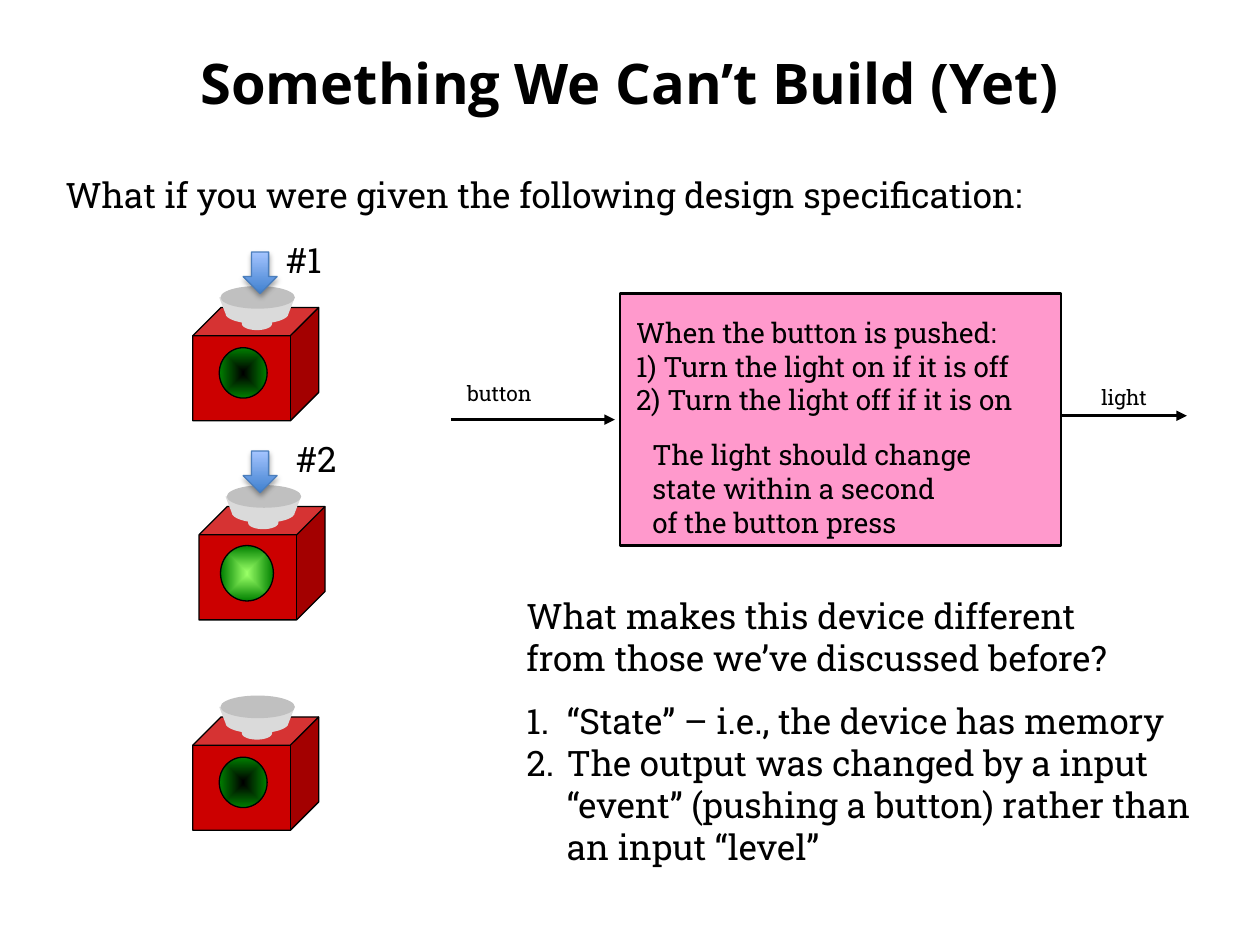
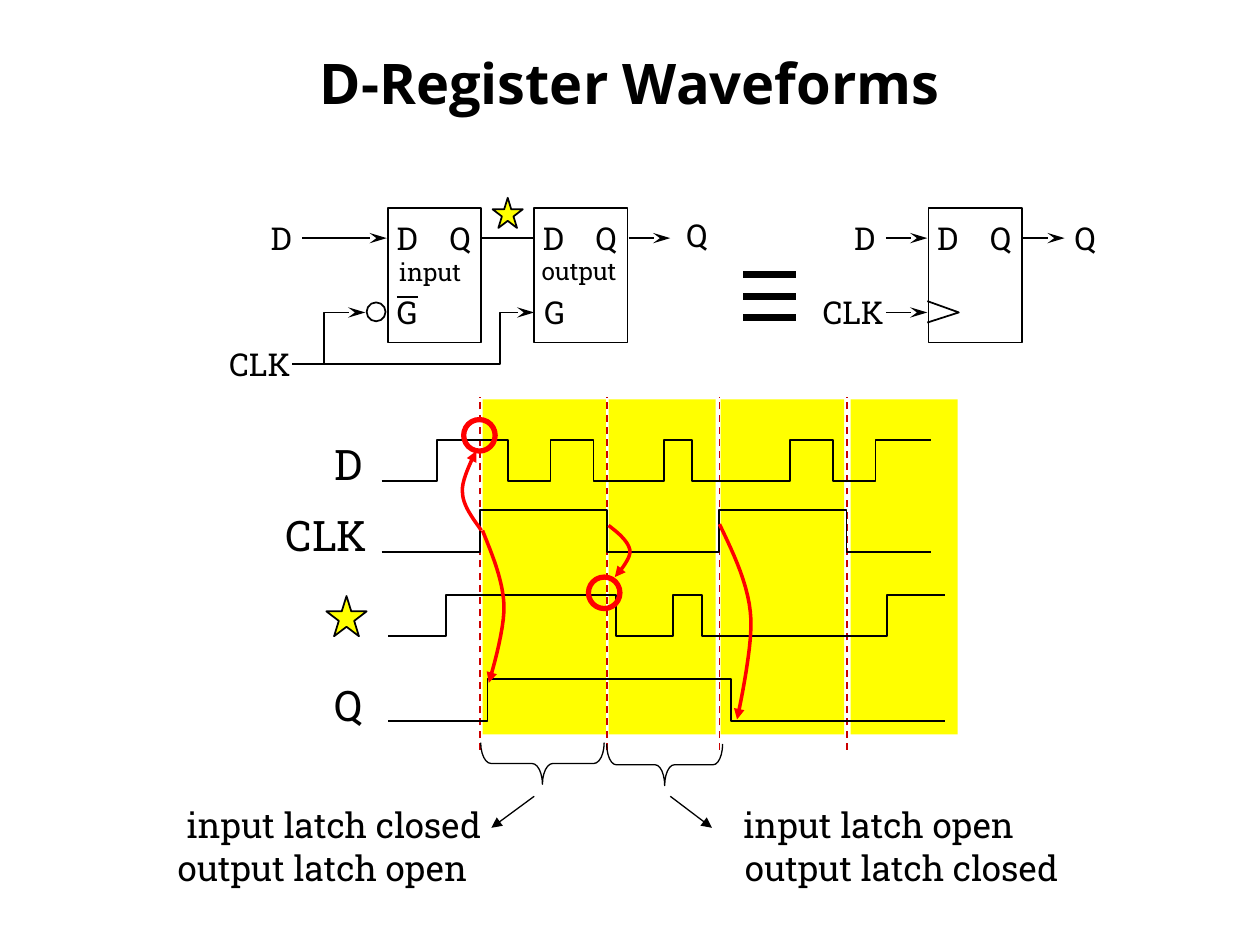
from dataclasses import dataclass
from math import cos, pi, sin
from typing import Optional, Sequence

from lxml.etree import SubElement
from pptx import Presentation
from pptx.dml.color import RGBColor
from pptx.enum.dml import MSO_LINE_DASH_STYLE as Dash
from pptx.enum.shapes import MSO_CONNECTOR as Connector, MSO_SHAPE as Shape
from pptx.enum.text import MSO_ANCHOR as Anchor, PP_ALIGN as Align
from pptx.oxml.ns import qn
from pptx.util import Cm, Pt

Point = tuple[float, float]


@dataclass(frozen=True)
class Theme:
    title_font: str = "Open Sans"
    body_font: str = "Roboto Slab"
    black: str = "000000"
    white: str = "FFFFFF"
    pink: str = "FF99CC"
    yellow: str = "FFFF00"
    red: str = "FF0000"
    dark_red: str = "CC0000"
    cap: str = "C0C0C0"
    cap_side: str = "DADADA"
    lamp_edge: str = "008000"
    lamp_lit: str = "99FF66"
    arrow_line: str = "4B7EBC"
    arrow_fill: tuple[str, str] = ("3F80CE", "A4C4FF")
    title_size: float = 32
    signal_size: float = 24
    body_size: float = 20
    pin_size: float = 18
    box_size: float = 16
    name_size: float = 14
    wire_size: float = 12


THEME = Theme()


@dataclass(frozen=True)
class Stroke:
    color: str = THEME.black
    width: float = 1
    head: Optional[str] = None
    dash: Optional[Dash] = None


@dataclass(frozen=True)
class Device:
    x: float
    y: float
    lamp: tuple[float, float, float, float]  # offsets from the cube, then size
    center_color: str
    press: Optional[str] = None
    press_x: float = 0


@dataclass(frozen=True)
class Waveform:
    top: float
    start: float
    end: float
    toggles: tuple[float, ...]


THIN = Stroke()
HAIR = Stroke(width=0.75)
BOLD = Stroke(width=1.5)
WIRE = Stroke(head="stealth")
POINTER = Stroke(width=0.75, head="triangle")
SIGNAL = Stroke(width=1.5, head="triangle")
CAUSE = Stroke(THEME.red, 2, "triangle")
MARK = Stroke(THEME.red, 3)


def inch(value: float) -> Cm:
    return Cm(value * 2.54)


# Drawing helpers
def apply_stroke(shape, stroke: Optional[Stroke]) -> None:
    if stroke is None:
        shape.line.fill.background()
        return
    shape.line.color.rgb = RGBColor.from_string(stroke.color)
    shape.line.width = Pt(stroke.width)
    if stroke.dash is not None:
        shape.line.dash_style = stroke.dash
    if stroke.head:
        line = shape._element.spPr.find(qn("a:ln"))
        length = "lg" if stroke.head == "stealth" else "med"
        SubElement(line, qn("a:tailEnd"), type=stroke.head, w="med", len=length)


def paint(shape, fill: Optional[str], stroke: Optional[Stroke]):
    shape.shadow.inherit = False
    if fill:
        shape.fill.solid()
        shape.fill.fore_color.rgb = RGBColor.from_string(fill)
    else:
        shape.fill.background()
    apply_stroke(shape, stroke)
    return shape


def add_box(slide, kind: Shape, x: float, y: float, width: float, height: float,
            fill: Optional[str] = None, stroke: Optional[Stroke] = None):
    shape = slide.shapes.add_shape(kind, inch(x), inch(y), inch(width), inch(height))
    return paint(shape, fill, stroke)


def add_line(slide, start: Point, end: Point, stroke: Stroke = THIN) -> None:
    connector = slide.shapes.add_connector(
        Connector.STRAIGHT, *(inch(value) for value in (*start, *end)))
    apply_stroke(connector, stroke)
    SubElement(connector._element.spPr, qn("a:effectLst"))


def add_outline(slide, points: Sequence[Point], stroke: Optional[Stroke] = THIN,
                fill: Optional[str] = None) -> None:
    places = [(inch(x), inch(y)) for x, y in points]
    builder = slide.shapes.build_freeform(*places[0])
    builder.add_line_segments(places[1:], close=fill is not None)
    paint(builder.convert_to_shape(), fill, stroke)


def add_curve(slide, start: Point, *segments: tuple[Point, Point, Point]) -> None:
    steps = 12
    points = [start]
    for segment in segments:
        a, b, c, d = points[-1], *segment
        for step in range(1, steps + 1):
            t = step / steps
            u = 1 - t
            weights = (u**3, 3 * u * u * t, 3 * u * t * t, t**3)
            points.append(tuple(sum(w * p[axis] for w, p in zip(weights, (a, b, c, d)))
                                for axis in (0, 1)))
    add_outline(slide, points, CAUSE)


def add_text(slide, text: str, x: float, y: float, width: float, height: float,
             size: float = THEME.body_size, font: str = THEME.body_font,
             align: Align = Align.LEFT, anchor: Anchor = Anchor.TOP,
             spacing: float = 1, bold: bool = False):
    box = slide.shapes.add_textbox(inch(x), inch(y), inch(width), inch(height))
    frame = box.text_frame
    frame.word_wrap = True
    frame.vertical_anchor = anchor
    frame.text = text
    for paragraph in frame.paragraphs:
        paragraph.alignment = align
        paragraph.line_spacing = spacing
        paragraph.font.name = font
        paragraph.font.size = Pt(size)
        paragraph.font.bold = bold
        paragraph.font.color.rgb = RGBColor.from_string(THEME.black)
    return frame


def add_label(slide, text: str, x: float, y: float, width: float = 0.4,
              height: float = 0.38, size: float = THEME.pin_size) -> None:
    add_text(slide, text, x, y, width, height, size, spacing=0.9)


def add_titled_slide(presentation, title: str):
    slide = presentation.slides.add_slide(presentation.slide_layouts[6])
    add_text(slide, title, 0.5, 0.3, 9, 0.7, THEME.title_size, THEME.title_font,
             Align.CENTER, Anchor.MIDDLE, bold=True)
    return slide


def set_gradient(shape, colors: tuple[str, str], radial: bool = False) -> None:
    shape.fill.gradient()
    shape.fill.gradient_angle = 90
    for stop, color in zip(shape.fill.gradient_stops, colors):
        stop.color.rgb = RGBColor.from_string(color)
    if radial:
        gradient = shape._element.spPr.find(qn("a:gradFill"))
        gradient.remove(gradient.find(qn("a:lin")))
        path = SubElement(gradient, qn("a:path"), path="shape")
        SubElement(path, qn("a:fillToRect"), {side: "50000" for side in "ltrb"})


# Push-button device
def add_tapered_disc(slide, center: float, top: float, half_width: float,
                     bottom: float, bottom_radii: Point) -> None:
    radius_x, radius_y = bottom_radii
    arc = [(center + radius_x * cos(pi * step / 16), bottom + radius_y * sin(pi * step / 16))
           for step in range(17)]
    add_outline(slide, [(center - half_width, top), (center + half_width, top), *arc],
                None, THEME.cap_side)


def add_device(slide, device: Device) -> None:
    x, y = device.x, device.y
    add_box(slide, Shape.CUBE, x, y, 1, 0.9, THEME.dark_red, HAIR)
    center = x + 0.51
    add_tapered_disc(slide, center, y, 0.13, y + 0.13, (0.12, 0.05))
    add_tapered_disc(slide, center, y - 0.08, 0.3, y + 0.05, (0.25, 0.08))
    add_box(slide, Shape.OVAL, x + 0.22, y - 0.17, 0.59, 0.18, THEME.cap)
    dx, dy, width, height = device.lamp
    lamp = add_box(slide, Shape.OVAL, x + dx, y + dy, width, height, stroke=HAIR)
    set_gradient(lamp, (device.center_color, THEME.lamp_edge), radial=True)
    if device.press:
        arrow = add_box(slide, Shape.DOWN_ARROW, 1.93, y - 0.44, 0.27, 0.33,
                        stroke=Stroke(THEME.arrow_line, 0.75))
        set_gradient(arrow, THEME.arrow_fill)
        effects = arrow._element.spPr.find(qn("a:effectLst"))
        shadow = SubElement(effects, qn("a:outerShdw"), blurRad=str(Pt(3.1)),
                            dist=str(Pt(1.8)), dir="5400000", rotWithShape="0")
        color = SubElement(shadow, qn("a:srgbClr"), val=THEME.black)
        SubElement(color, qn("a:alpha"), val="35000")
        add_text(slide, device.press, device.press_x, y - 0.6, 0.54, 0.44)


def build_specification(presentation) -> None:
    slide = add_titled_slide(presentation, "Something We Can’t Build (Yet)")
    add_text(slide, "What if you were given the following design specification:",
             0.42, 1.33, 9.17, 0.44)

    # Specification box with its input and output
    add_box(slide, Shape.RECTANGLE, 4.92, 2.33, 3.5, 2, THEME.pink, BOLD)
    for text, x, y, width, height, size in (
        ("When the button is pushed:\v1) Turn the light on if it is off\n"
         "2) Turn the light off if it is on", 4.95, 2.45, 3.4, 0.91, THEME.box_size),
        ("The light should change\vstate within a second\vof the button press",
         5.08, 3.42, 3.11, 0.91, THEME.box_size),
        ("button", 3.61, 2.97, 0.98, 0.3, THEME.wire_size),
        ("light", 8.64, 3, 0.58, 0.3, THEME.wire_size),
    ):
        add_text(slide, text, x, y, width, height, size, anchor=Anchor.MIDDLE)
    add_line(slide, (3.58, 3.33), (4.88, 3.33), SIGNAL)
    add_line(slide, (8.42, 3.3), (9.42, 3.3), SIGNAL)

    # Question and numbered answers
    add_text(slide, "What makes this device different\vfrom those we’ve discussed before?",
             4.08, 4.67, 5.15, 0.77)
    answers = add_text(
        slide, "“State” – i.e., the device has memory\nThe output was changed by a input "
        "“event” (pushing a button) rather than an input “level”", 4.08, 5.5, 5.67, 1.45)
    for paragraph in answers.paragraphs:
        properties = paragraph._p.get_or_add_pPr()
        properties.set("marL", str(inch(0.32)))
        properties.set("indent", str(-inch(0.32)))
        number = properties.makeelement(qn("a:buAutoNum"), {"type": "arabicPeriod"})
        properties.find(qn("a:defRPr")).addprevious(number)

    # Device before, during and after the presses
    dark_lamp = (0.21, 0.32, 0.38, 0.4)
    for device in (
        Device(1.53, 2.44, dark_lamp, THEME.black, "#1", 2.17),
        Device(1.58, 4.02, (0.17, 0.31, 0.42, 0.44), THEME.lamp_lit, "#2", 2.25),
        Device(1.53, 5.69, dark_lamp, THEME.black),
    ):
        add_device(slide, device)


# Register schematic and timing
def add_register(slide, x: float) -> None:
    add_box(slide, Shape.RECTANGLE, x, 1.65, 0.74, 1.07, THEME.white, THIN)
    add_label(slide, "D", x - 0.03, 1.72)
    add_label(slide, "Q", x + 0.39, 1.72)


def add_waveform(slide, wave: Waveform) -> None:
    high, low = wave.top, wave.top + 0.33
    points, level = [(wave.start, low)], low
    for x in wave.toggles:
        points.append((x, level))
        level = high if level == low else low
        points.append((x, level))
    add_outline(slide, [*points, (wave.end, level)])


def build_waveforms(presentation) -> None:
    slide = add_titled_slide(presentation, "D-Register Waveforms")
    for x, width in ((3.83, 0.98), (4.83, 0.85), (5.72, 0.98), (6.75, 0.85)):
        add_box(slide, Shape.RECTANGLE, x, 3.17, width, 2.66, THEME.yellow)

    # Two latches and the equivalent register
    for x in (3.08, 4.24, 7.37):
        add_register(slide, x)
    for text, x, y in (("G", 3.05, 2.31), ("G", 4.22, 2.31), ("D", 2.05, 1.72),
                       ("Q", 5.35, 1.7), ("D", 6.68, 1.72), ("Q", 8.43, 1.72)):
        add_label(slide, text, x, y)
    add_label(slide, "CLK", 1.72, 2.72, 0.75)
    add_label(slide, "CLK", 6.43, 2.31, 0.75)
    add_label(slide, "input", 3.07, 2.02, 0.72, 0.31, THEME.name_size)
    add_label(slide, "output", 4.2, 2.01, 0.93, 0.31, THEME.name_size)
    add_line(slide, (3.15, 2.36), (3.32, 2.36))
    add_box(slide, Shape.OVAL, 2.91, 2.4, 0.15, 0.15, THEME.white, THIN)
    add_line(slide, (3.82, 1.89), (4.24, 1.89))
    for start, end, y in ((2.4, 3.07, 1.89), (4.99, 5.32, 1.89), (7.03, 7.36, 1.89),
                          (8.11, 8.45, 1.89), (7.03, 7.36, 2.48)):
        add_line(slide, (start, y), (end, y), WIRE)
    add_outline(slide, [(2.32, 2.89), (3.97, 2.89), (3.97, 2.48), (4.24, 2.48)], WIRE)
    add_outline(slide, [(2.57, 2.89), (2.57, 2.48), (2.9, 2.48)], WIRE)
    add_outline(slide, [(7.36, 2.39), (7.61, 2.48), (7.36, 2.56)])
    for row in range(3):
        y = 2.18 + 0.17 * row
        add_line(slide, (5.9, y), (6.32, y), Stroke(width=4))
    for x, y, size in ((3.91, 1.57, 0.24), (2.59, 4.73, 0.32)):
        add_box(slide, Shape.STAR_5_POINT, x, y, size, size, THEME.yellow, THIN)

    # Clock edges and signals
    for x in (3.81, 4.82, 5.71, 6.72):
        add_line(slide, (x, 5.95), (x, 3.15), Stroke(THEME.dark_red, dash=Dash.DASH))
    for wave in (
        Waveform(3.49, 3.03, 7.39, (3.47, 4.03, 4.37, 4.71, 5.27, 5.49, 6.27, 6.61, 6.95)),
        Waveform(4.05, 3.03, 7.39, (3.81, 4.82, 5.71, 6.72)),
        Waveform(4.72, 3.08, 7.5, (3.54, 4.89, 5.34, 5.57, 7.04)),
        Waveform(5.39, 3.08, 7.5, (3.87, 5.8)),
    ):
        add_waveform(slide, wave)
    for text, x, y, width in (("D", 2.56, 3.48, 0.47), ("CLK", 2.17, 4.04, 0.94),
                              ("Q", 2.56, 5.39, 0.47)):
        add_label(slide, text, x, y, width, 0.47, THEME.signal_size)

    # Latch phases
    for x, y, height, bend in ((4.14, 5.57, 0.98, 0.25), (5.11, 5.61, 0.92, 0.23)):
        brace = add_box(slide, Shape.RIGHT_BRACE, x, y, 0.33, height, stroke=HAIR)
        brace.adjustments[0] = bend
        brace.rotation = 90
    add_line(slide, (4.24, 6.32), (3.9, 6.57), POINTER)
    add_line(slide, (5.32, 6.32), (5.65, 6.57), POINTER)
    for text, x, y, width in (
        ("input latch closed", 1.25, 6.33, 2.67), ("output latch open", 1.15, 6.67, 2.66),
        ("input latch open", 5.67, 6.33, 2.48), ("output latch closed", 5.65, 6.67, 2.85),
    ):
        add_text(slide, text, x, y, width, 0.44, align=Align.RIGHT)

    # Cause and effect marks
    for x, y in ((3.68, 3.33), (4.67, 4.58)):
        add_box(slide, Shape.OVAL, x, y, 0.25, 0.25, stroke=MARK)
    for start, middle, end in (
        ((3.82, 4.21), ((3.75, 4.11), (3.67, 4.01), (3.67, 3.9)), ((3.66, 3.8), (3.78, 3.58))),
        ((4.83, 4.17), ((4.91, 4.23), (4.99, 4.3), (5, 4.37)), ((5.01, 4.44), (4.88, 4.58))),
        ((3.83, 4.21), ((3.91, 4.41), (3.99, 4.6), (4, 4.8)), ((4.01, 5), (3.88, 5.42))),
        ((5.71, 4.16), ((5.83, 4.41), (5.95, 4.66), (5.96, 4.92)), ((5.97, 5.17), (5.85, 5.71))),
    ):
        add_curve(slide, start, middle, (*end, end[-1]))


presentation = Presentation()
presentation.slide_width, presentation.slide_height = inch(10), inch(7.5)
build_specification(presentation)
build_waveforms(presentation)
presentation.save("out.pptx")
